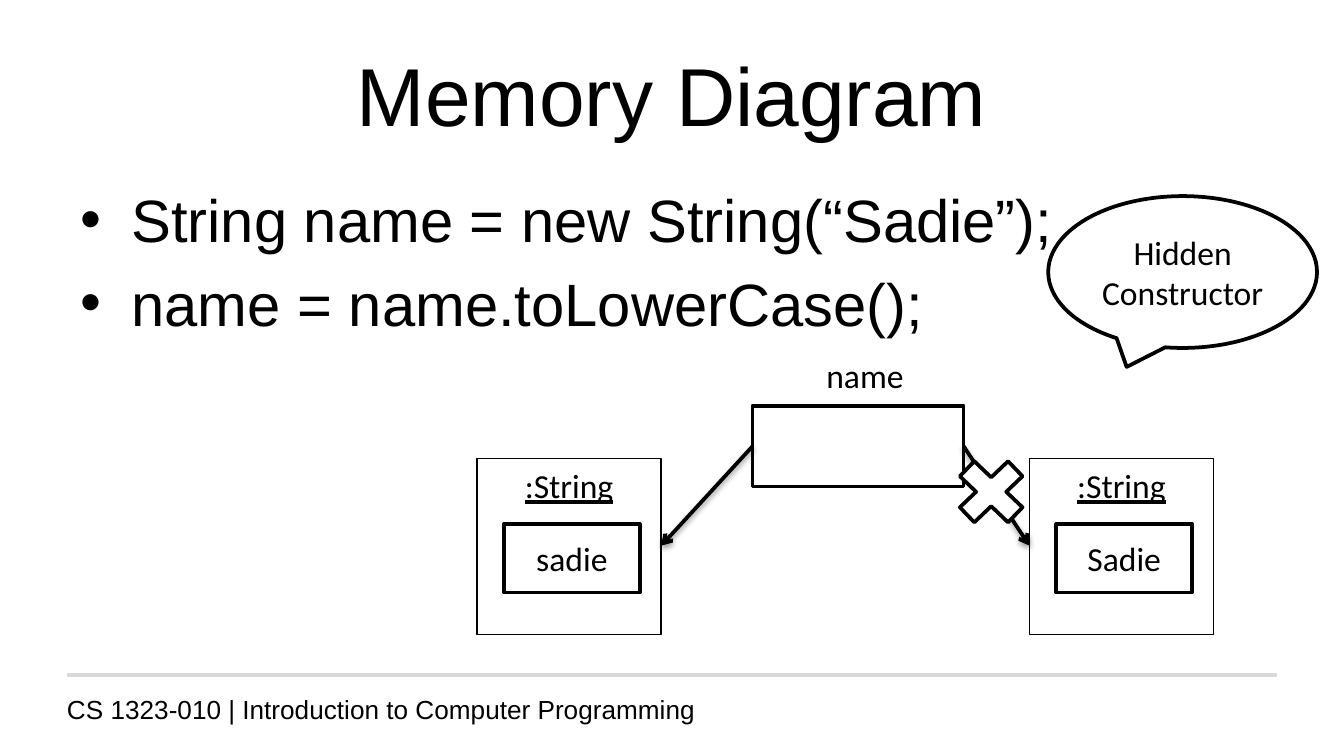
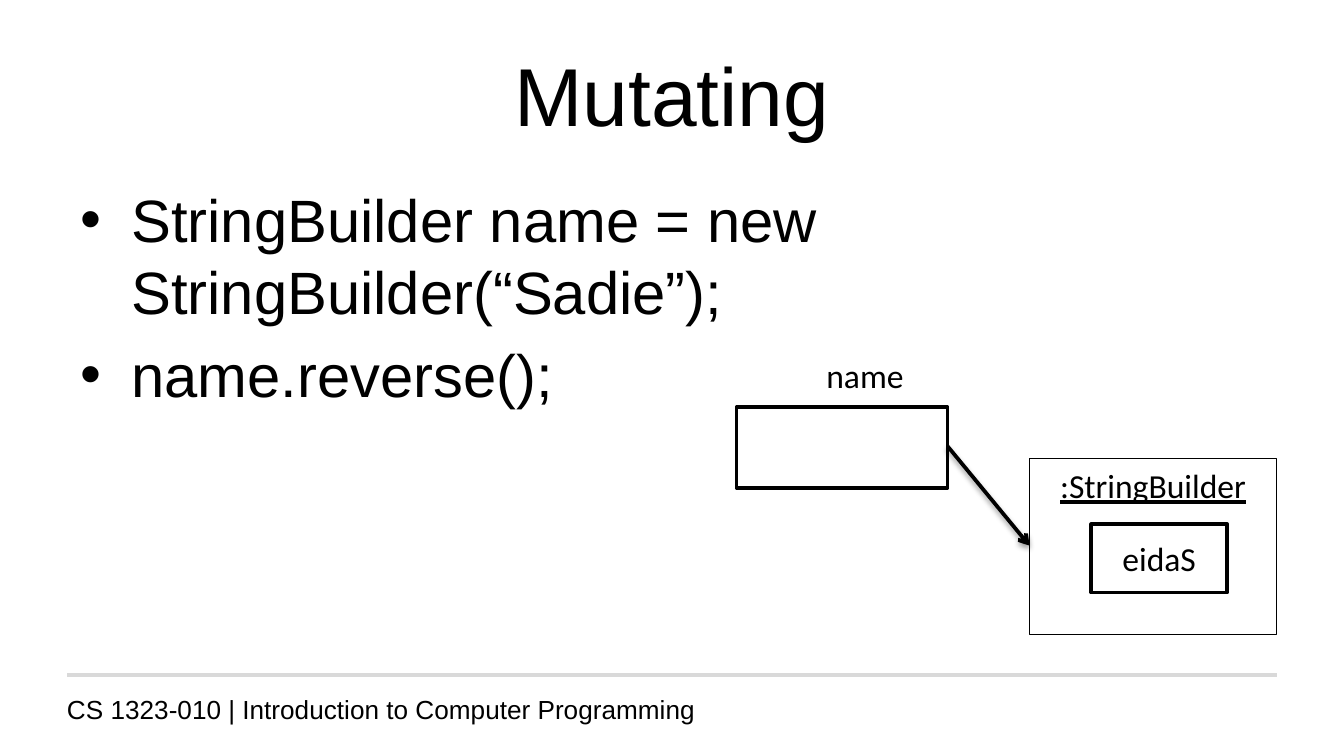
from dataclasses import dataclass
from typing import Optional

from lxml.etree import SubElement
from pptx import Presentation
from pptx.dml.color import RGBColor
from pptx.enum.shapes import MSO_CONNECTOR as Connector, MSO_SHAPE as Shape
from pptx.enum.text import MSO_ANCHOR as Anchor, PP_ALIGN as Align
from pptx.oxml.ns import qn
from pptx.util import Inches, Pt


@dataclass(frozen=True)
class Theme:
    ink: RGBColor = RGBColor(0x00, 0x00, 0x00)
    paper: RGBColor = RGBColor(0xFF, 0xFF, 0xFF)
    rule: RGBColor = RGBColor(0xD9, 0xD9, 0xD9)
    slide_font: str = "Arial"
    diagram_font: str = "Calibri"
    title_size: float = 44
    body_size: float = 32
    diagram_size: float = 18
    footer_size: float = 14
    thick: float = 2
    thin: float = 0.75


@dataclass(frozen=True)
class Box:
    left: float
    top: float
    width: float
    height: float

    @property
    def right(self) -> float:
        return self.left + self.width

    def lengths(self) -> list:
        return [Inches(n) for n in (self.left, self.top, self.width, self.height)]


@dataclass(frozen=True)
class StringObject:
    """An object in memory: class name, its value, and where it stands."""
    class_name: str
    value: str
    left: float
    width: float
    value_inset: float


@dataclass(frozen=True)
class MemorySlide:
    title: str
    code: list[str]
    variable: Box
    objects: list[StringObject]
    callout: Optional[Box] = None
    cross: Optional[Box] = None


THEME = Theme()
FOOTER = "CS 1323-010 | Introduction to Computer Programming"
OBJECT_TOP, OBJECT_HEIGHT = 3.41, 1.31
VALUE_TOP, VALUE_WIDTH, VALUE_HEIGHT = 3.9, 1.01, 0.51
ARROW_START_Y, ARROW_END_Y = 3.32, 4.06

SLIDES = [
    MemorySlide(
        title="Memory Diagram",
        code=["String name = new String(“Sadie”);", "name = name.toLowerCase();"],
        variable=Box(5.6, 3.02, 1.57, 0.6),
        objects=[
            StringObject(":String", "Sadie", 7.66, 1.37, 0.2),
            StringObject(":String", "sadie", 3.55, 1.37, 0.2),
        ],
        callout=Box(7.8, 1.46, 2, 1.13),
        cross=Box(7.03, 3.33, 0.69, 0.66),
    ),
    MemorySlide(
        title="Mutating",
        code=["StringBuilder name = new StringBuilder(“Sadie”);", "name.reverse();"],
        variable=Box(5.48, 3.03, 1.57, 0.6),
        objects=[StringObject(":StringBuilder", "eidaS", 7.66, 1.84, 0.46)],
    ),
]


def add_bullet(paragraph) -> None:
    properties = paragraph._p.get_or_add_pPr()
    properties.set("marL", str(Inches(0.38)))
    properties.set("indent", str(-Inches(0.38)))
    SubElement(properties, qn("a:buFont"), typeface=THEME.slide_font)
    SubElement(properties, qn("a:buChar"), char="•")


def write_text(frame, lines: list[str], *, size: float = THEME.diagram_size,
               font: str = THEME.diagram_font, align=Align.CENTER,
               anchor=Anchor.MIDDLE, wrap: bool = True, underline: bool = False,
               bullets: bool = False, gap: float = 0) -> None:
    frame.word_wrap = wrap
    frame.vertical_anchor = anchor
    for index, line in enumerate(lines):
        paragraph = frame.add_paragraph() if index else frame.paragraphs[0]
        paragraph.alignment = align
        if index and gap:
            paragraph.space_before = Pt(gap)
        if bullets:
            add_bullet(paragraph)
        run = paragraph.add_run()
        run.text = line
        run.font.size = Pt(size)
        run.font.name = font
        run.font.underline = underline
        run.font.color.rgb = THEME.ink


def add_text(slide, box: Box, lines: list[str], **text_format) -> None:
    write_text(slide.shapes.add_textbox(*box.lengths()).text_frame, lines, **text_format)


def add_outlined(slide, kind, box: Box, lines: Optional[list[str]] = None, *,
                 filled: bool = True, width: float = THEME.thick, **text_format) -> None:
    outlined = slide.shapes.add_shape(kind, *box.lengths())
    outlined.shadow.inherit = False
    if filled:
        outlined.fill.solid()
        outlined.fill.fore_color.rgb = THEME.paper
    else:
        outlined.fill.background()
    outlined.line.color.rgb = THEME.ink
    outlined.line.width = Pt(width)
    if lines:
        write_text(outlined.text_frame, lines, **text_format)


def add_line(slide, start: tuple[float, float], end: tuple[float, float], *,
             color: RGBColor = THEME.ink, arrow: bool = False) -> None:
    line = slide.shapes.add_connector(
        Connector.STRAIGHT, *(Inches(n) for n in (*start, *end)))
    line.line.color.rgb = color
    line.line.width = Pt(THEME.thick)
    effects = SubElement(line._element.spPr, qn("a:effectLst"))
    if arrow:
        SubElement(line.line._get_or_add_ln(), qn("a:tailEnd"), type="arrow")
        shadow = SubElement(effects, qn("a:outerShdw"), blurRad=str(Pt(3.1)),
                            dist=str(Pt(1.6)), dir="5400000", rotWithShape="0")
        shade = SubElement(shadow, qn("a:srgbClr"), val=str(THEME.ink))
        SubElement(shade, qn("a:alpha"), val="38000")


def add_frame(slide, content: MemorySlide) -> None:
    # Footer and rule
    add_text(slide, Box(0.4, 5.11, 9, 0.21), [FOOTER], size=THEME.footer_size,
             font=THEME.slide_font, align=Align.LEFT, anchor=Anchor.TOP)
    add_line(slide, (0.5, 5.02), (9.5, 5.02), color=THEME.rule)
    # Title and code lines
    add_text(slide, Box(0.5, 0.23, 9, 0.94), [content.title],
             size=THEME.title_size, font=THEME.slide_font)
    add_text(slide, Box(0.5, 1.31, 9, 3.71), content.code, size=THEME.body_size,
             font=THEME.slide_font, align=Align.LEFT, anchor=Anchor.TOP,
             bullets=True, gap=THEME.body_size * 0.2)


def add_object(slide, item: StringObject, variable: Box) -> None:
    outer = Box(item.left, OBJECT_TOP, item.width, OBJECT_HEIGHT)
    add_outlined(slide, Shape.RECTANGLE, outer, [item.class_name], filled=False,
                 width=THEME.thin, anchor=Anchor.TOP, underline=True)
    add_outlined(slide, Shape.RECTANGLE,
                 Box(item.left + item.value_inset, VALUE_TOP, VALUE_WIDTH, VALUE_HEIGHT),
                 [item.value])
    # The reference leaves the variable on the side facing the object
    if outer.left > variable.left:
        start_x, end_x = variable.right, outer.left
    else:
        start_x, end_x = variable.left, outer.right
    add_line(slide, (start_x, ARROW_START_Y), (end_x, ARROW_END_Y), arrow=True)


def add_diagram(slide, content: MemorySlide) -> None:
    # Variable
    add_text(slide, Box(6.05, 2.59, 0.78, 0.4), ["name"], align=Align.LEFT,
             anchor=Anchor.TOP, wrap=False)
    add_outlined(slide, Shape.RECTANGLE, content.variable)
    # Objects with their references
    for item in content.objects:
        add_object(slide, item, content.variable)
    # Remark and broken reference
    if content.callout:
        add_outlined(slide, Shape.OVAL_CALLOUT, content.callout, ["Hidden", "Constructor"])
    if content.cross:
        add_outlined(slide, Shape.MATH_MULTIPLY, content.cross)


def main() -> None:
    deck = Presentation()
    # Widescreen, 16 to 9
    deck.slide_width = Inches(10)
    deck.slide_height = Inches(10) * 9 // 16
    for content in SLIDES:
        slide = deck.slides.add_slide(deck.slide_layouts[6])
        add_frame(slide, content)
        add_diagram(slide, content)
    deck.save("out.pptx")


if __name__ == "__main__":
    main()
